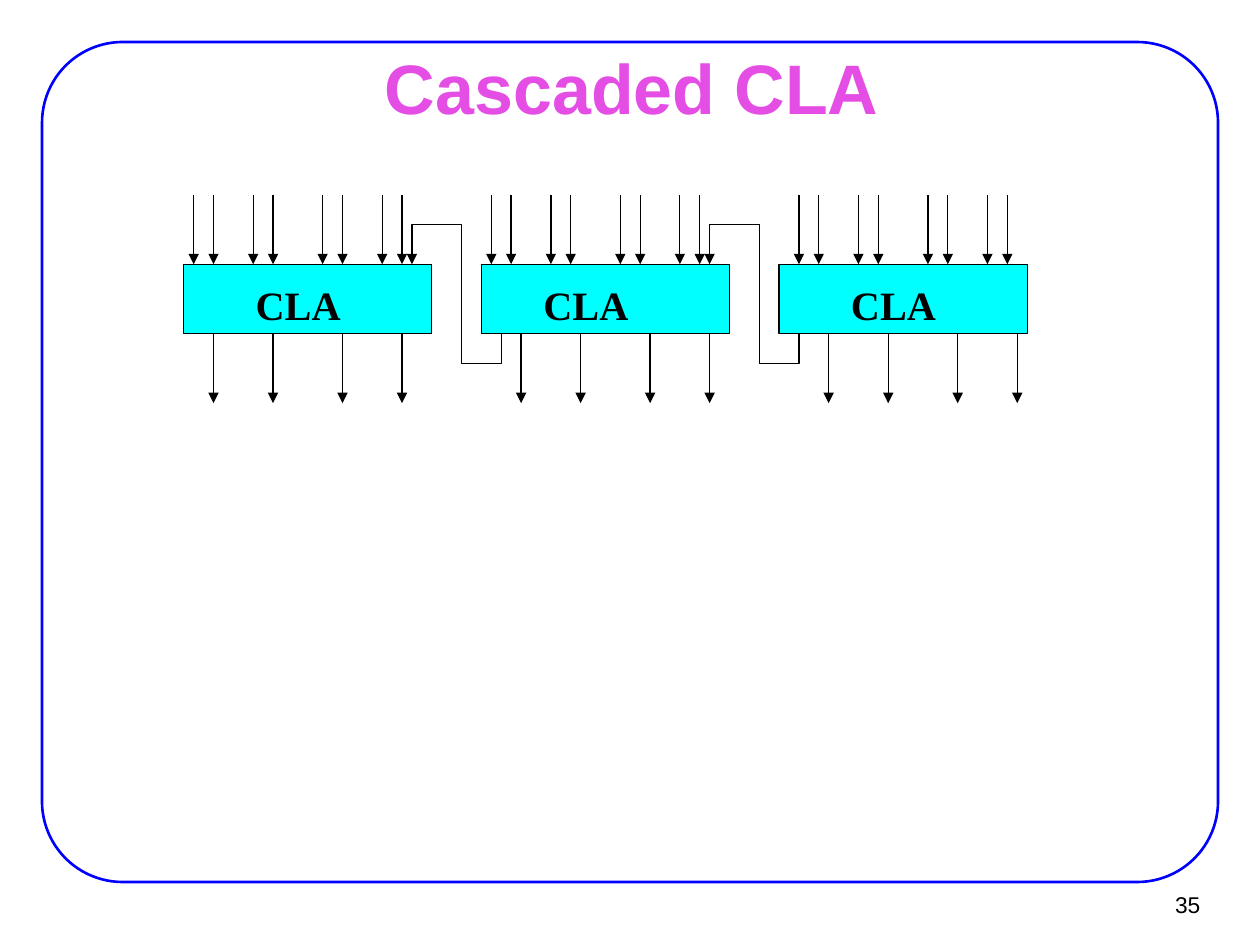
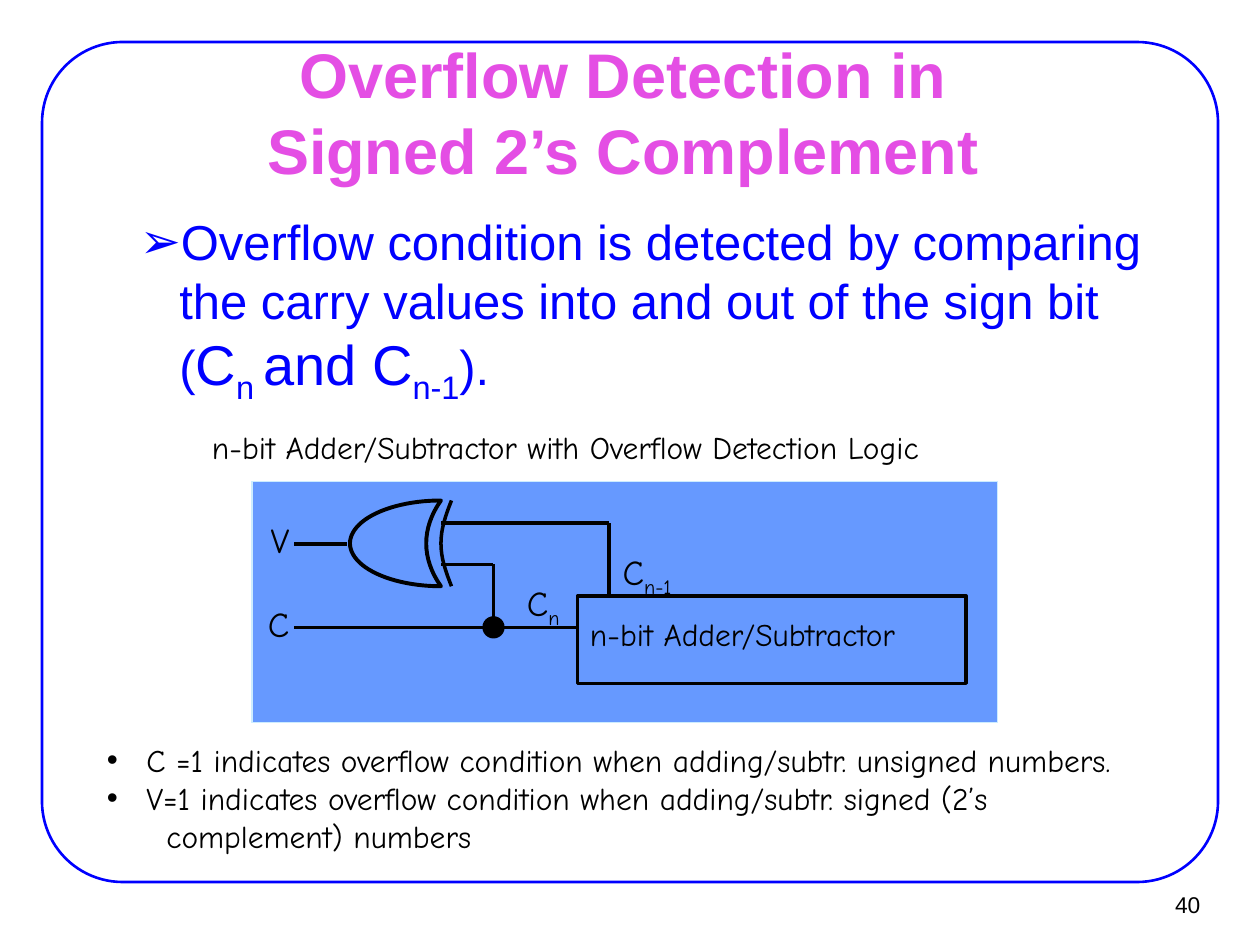
from dataclasses import dataclass
from math import pi, sin

from pptx import Presentation
from pptx.dml.color import RGBColor
from pptx.enum import shapes, text
from pptx.oxml import xmlchemy as ox
from pptx.util import Pt


@dataclass(frozen=True)
class Theme:
    """Colours, fonts and type sizes of the deck."""
    ink: str = "000000"
    blue: str = "0000FF"
    title: str = "E44EE4"
    cyan: str = "00FFFF"
    panel: str = "6699FF"
    panel_edge: str = "CCECFF"
    sans: str = "Arial"
    serif: str = "Times New Roman"
    hand: str = "Comic Neue"
    title_size: float = 40
    long_title_size: float = 36
    body_size: float = 28
    big_size: float = 32
    block_size: float = 23
    signal_size: float = 20
    note_size: float = 18
    number_size: float = 13
    thin: float = 0.75
    frame: float = 1.5
    wire: float = 2
    gate: float = 2.25


T = Theme()
SHAPE = shapes.MSO_SHAPE


def rgb(code):
    """Turn a hex code into a colour."""
    return RGBColor.from_string(code)


def add_run(p, words, font, size, color, bold=False, base=0):
    """Add one formatted run to a paragraph."""
    r = p.add_run()
    r.text = words
    r.font.name, r.font.size, r.font.bold = font, Pt(size), bold
    r.font.color.rgb = rgb(color)
    if base:
        r.font._element.set("baseline", str(base * 1000))


def add_bullet(p, char, left, hang):
    """Give a paragraph a bullet character and a hanging indent."""
    pr = p._p.get_or_add_pPr()
    pr.set("marL", str(Pt(left)))
    pr.set("indent", str(Pt(-hang)))
    for tag, key, value in (("a:buFont", "typeface", T.sans), ("a:buChar", "char", char)):
        el = ox.OxmlElement(tag)
        el.set(key, value)
        pr.append(el)


def style_line(line, color, width, arrow=False):
    """Set the colour, width and optional end arrow of a line."""
    line.color.rgb = rgb(color)
    line.width = Pt(width)
    if arrow:
        tail = ox.OxmlElement("a:tailEnd")
        tail.set("type", "triangle")
        line._get_or_add_ln().append(tail)


def add_shape(s, kind, box, fill, color, width):
    """Draw a preset shape in a box of points."""
    sp = s.shapes.add_shape(kind, *map(Pt, box))
    sp.shadow.inherit = False
    if fill:
        sp.fill.solid()
        sp.fill.fore_color.rgb = rgb(fill)
    else:
        sp.fill.background()
    style_line(sp.line, color, width)
    return sp


def add_wire(s, x1, y1, x2, y2, width, arrow=False):
    """Draw a straight wire between two points."""
    c = s.shapes.add_connector(shapes.MSO_CONNECTOR.STRAIGHT, *map(Pt, (x1, y1, x2, y2)))
    style_line(c.line, T.ink, width, arrow)
    c._element.spPr.append(ox.OxmlElement("a:effectLst"))


def add_path(s, points, width, arrow=False):
    """Draw an open, unfilled outline through the points."""
    start, *rest = [(Pt(x), Pt(y)) for x, y in points]
    builder = s.shapes.build_freeform(*start)
    builder.add_line_segments(rest, close=False)
    sp = builder.convert_to_shape()
    sp.shadow.inherit = False
    sp.fill.background()
    style_line(sp.line, T.ink, width, arrow)


def add_text(s, box, wrap=True):
    """Add a text box and return its text frame."""
    tf = s.shapes.add_textbox(*map(Pt, box)).text_frame
    tf.word_wrap = wrap
    return tf


def set_frame(sp, box):
    """Move a placeholder and set its insets."""
    sp.left, sp.top, sp.width, sp.height = map(Pt, box)
    tf = sp.text_frame
    tf.auto_size = text.MSO_AUTO_SIZE.NONE
    tf.margin_left = tf.margin_right = Pt(8)
    tf.margin_top = tf.margin_bottom = Pt(4)
    return tf


def add_base(prs, layout, number, title, box, size):
    """Add a slide with the rounded frame, page number and title."""
    s = prs.slides.add_slide(prs.slide_layouts[layout])
    frame = add_shape(s, SHAPE.ROUNDED_RECTANGLE, (24, 24, 672, 480), None, T.blue, T.frame)
    frame.adjustments[0] = 0.096

    tf = add_text(s, (649, 503, 44, 27))
    tf.vertical_anchor = text.MSO_ANCHOR.MIDDLE
    p = tf.paragraphs[0]
    p.alignment = text.PP_ALIGN.RIGHT
    add_run(p, number, T.sans, T.number_size, T.ink)

    tf = set_frame(s.shapes.title, box)
    tf.vertical_anchor = text.MSO_ANCHOR.MIDDLE
    p = tf.paragraphs[0]
    p.alignment = text.PP_ALIGN.CENTER
    for i, words in enumerate(title):
        if i:
            p.add_line_break()
        add_run(p, words, T.sans, size, T.title, True)
    return s


def add_block(s, x, y, g, in_shift, out_shift, label):
    """Draw one CLA block with its input and output arrows on grid g."""
    add_shape(s, SHAPE.RECTANGLE, (x, y, 25 * g, 7 * g), T.cyan, T.ink, T.thin)
    for col in (1, 3, 7, 9, 14, 16, 20, 22):
        cx = x + (col + in_shift) * g
        add_wire(s, cx, y - 7 * g, cx, y, T.thin, True)
    for col in (3, 9, 16, 22):
        cx = x + (col + out_shift) * g
        add_wire(s, cx, y + 7 * g, cx, y + 14 * g, T.thin, True)
    tf = add_text(s, (x + label * g, y + g, 17 * g, 6 * g))
    add_run(tf.paragraphs[0], "CLA", T.serif, T.block_size, T.ink, True)


def add_carry(s, x, y, g):
    """Route the carry from under a block to the top of the one before."""
    cols = (2, 2, -2, -2, -7, -7)
    rows = (7, 10, 10, -4, -4, 0)
    add_path(s, [(x + c * g, y + r * g) for c, r in zip(cols, rows)], T.thin, True)


def add_cascade(s, x, y, g):
    """Lay out three blocks at an equal pitch and join their carries."""
    for i, (in_shift, out_shift, label) in enumerate(((0, 0, 6), (0, 1, 5), (1, 2, 6))):
        left = x + 30 * g * i
        add_block(s, left, y, g, in_shift, out_shift, label)
        if i:
            add_carry(s, left, y, g)


def add_condition(s, box):
    """Fill the body placeholder with the overflow condition."""
    p = set_frame(s.placeholders[1], box).paragraphs[0]
    p.level = 1
    p.space_before = Pt(5.6)
    add_bullet(p, "➢", 58.5, 22.5)
    for words, size, base in (
        ("Overflow condition is detected by comparing the carry values into and out of the sign bit (",
         T.body_size, 0),
        ("C", T.big_size, 0),
        ("n ", T.big_size, -25),
        ("and C", T.big_size, 0),
        ("n-1", T.big_size, -25),
        (").", T.body_size, 0),
    ):
        add_run(p, words, T.sans, size, T.blue, base=base)


def add_xor_gate(s, x, y, w, h):
    """Draw a left-facing XOR gate with its second input curve."""
    gate = add_shape(s, SHAPE.MOON, (x, y, w, h), None, T.ink, T.gate)
    gate.adjustments[0] = 0.838
    steps = 16
    curve = [(x + w + 6 - 6 * sin(pi * i / steps), y + h * i / steps) for i in range(steps + 1)]
    add_path(s, curve, T.wire)


def add_circuit(s, x, y, w, h):
    """Draw the adder with its overflow logic on a panel."""
    add_shape(s, SHAPE.RECTANGLE, (x, y, w, h), T.panel, T.panel_edge, T.thin)
    add_shape(s, SHAPE.RECTANGLE, (x + 186, y + 65.5, 222, 50), None, T.ink, T.wire)
    add_xor_gate(s, x + 56, y + 11, 52, 49)
    for x1, y1, x2, y2 in (
        (204, 24, 108, 24), (204, 65.5, 204, 24),
        (186, 83.5, 24, 83.5), (138, 83.5, 138, 47.5),
        (138, 47.5, 108, 47.5), (54, 36, 24, 36),
    ):
        add_wire(s, x + x1, y + y1, x + x2, y + y2, T.wire)
    add_shape(s, SHAPE.OVAL, (x + 132, y + 77.5, 12, 12), T.ink, T.ink, T.thin)

    for name, sub, left, top, width in (
        ("V", "", 3.5, 18, 27), ("C", "", 2, 65.5, 27),
        ("C", "n", 150, 54, 33), (" C", "n-1 ", 198, 36, 55),
    ):
        p = add_text(s, (x + left, y + top, width, 31), False).paragraphs[0]
        add_run(p, name, T.hand, T.signal_size, T.ink)
        if sub:
            add_run(p, sub, T.hand, T.signal_size, T.ink, base=-25)
    add_note(s, (x + 186, y + 73, 228, 32), "n-bit Adder/Subtractor")


def add_note(s, box, words):
    """Add one line of handwritten text."""
    add_run(add_text(s, box).paragraphs[0], words, T.hand, T.note_size, T.ink)


def add_legend(s, box):
    """Explain the C and V flags in a bulleted box."""
    tf = add_text(s, box)
    for i, (words, bulleted) in enumerate((
        ("C =1 indicates overflow condition when adding/subtr. unsigned numbers.", True),
        ("V=1 indicates overflow condition when adding/subtr. signed (2’s", True),
        ("complement) numbers", False),
    )):
        p = tf.add_paragraph() if i else tf.paragraphs[0]
        if bulleted:
            add_bullet(p, "•", 22.5, 22.5)
        else:
            p._p.get_or_add_pPr().set("marL", str(Pt(34)))
        add_run(p, words, T.hand, T.note_size, T.ink)


def build():
    """Build the two slides and save the deck."""
    prs = Presentation()
    prs.slide_width, prs.slide_height = Pt(720), Pt(540)

    s = add_base(prs, 5, "35", ["Cascaded CLA"], (55, 32, 612, 35), T.title_size)
    add_cascade(s, 105, 151, 5.67)

    s = add_base(prs, 1, "40", ["Overflow Detection in ", "Signed 2’s Complement "],
                 (55, 26, 612, 75), T.long_title_size)
    add_condition(s, (36, 117, 648, 356))
    add_note(s, (114, 241, 522, 29), "n-bit Adder/Subtractor with Overflow Detection Logic")
    add_circuit(s, 144, 275, 426, 138)
    add_legend(s, (54, 420, 660, 72))

    prs.save("out.pptx")


build()
